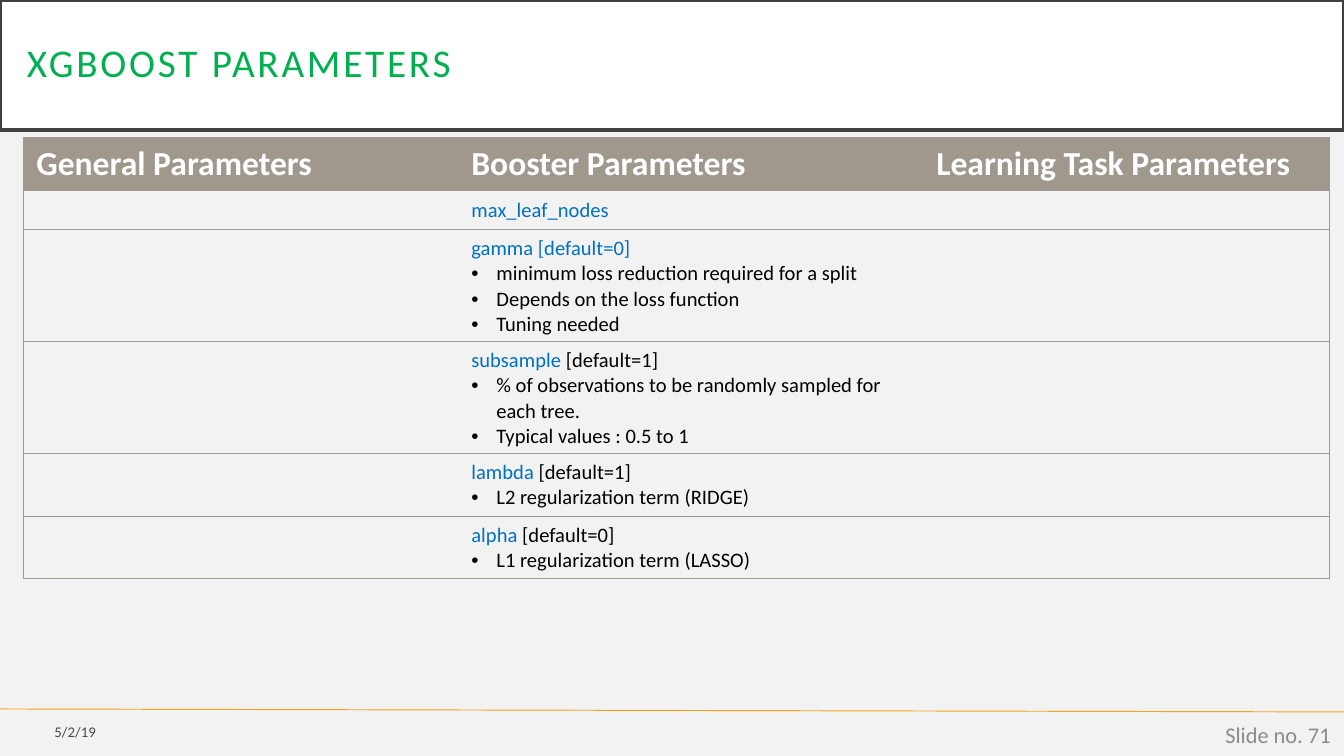
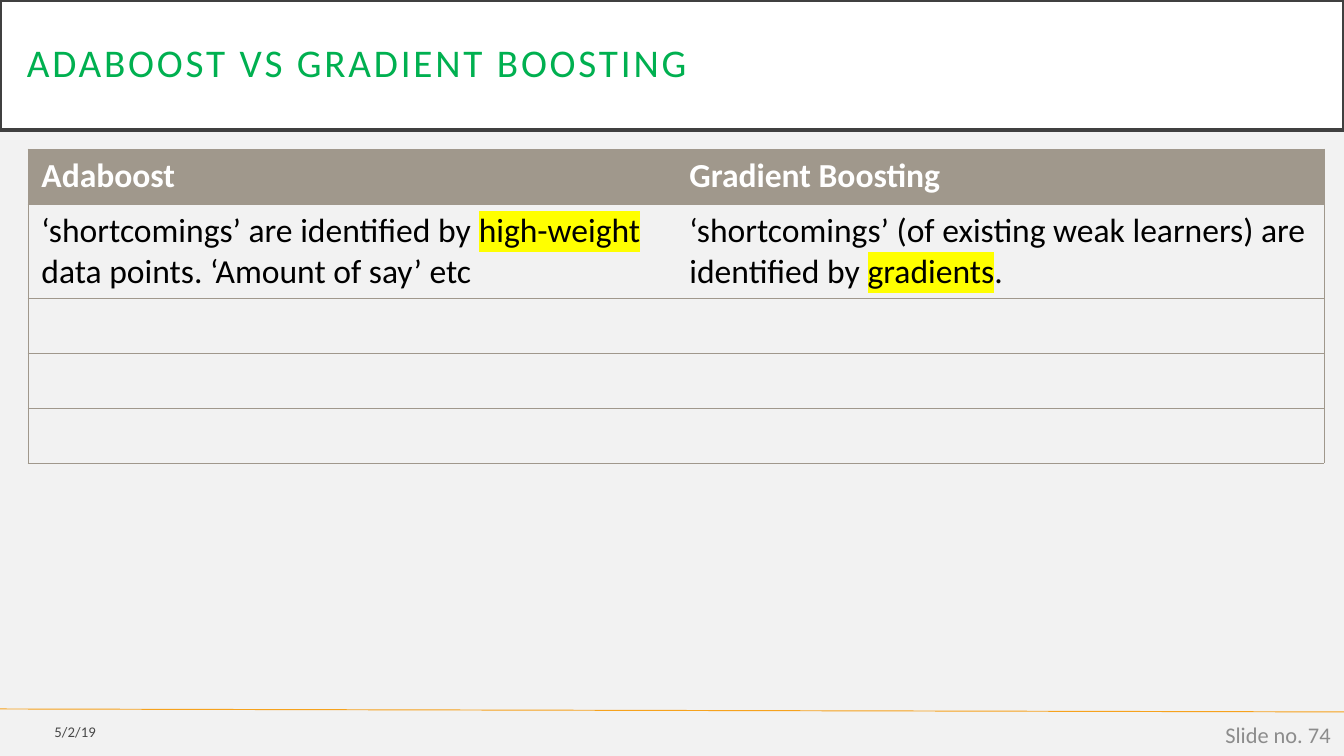
from dataclasses import dataclass

from lxml.etree import SubElement
from pptx import Presentation
from pptx.dml.color import RGBColor
from pptx.enum.shapes import MSO_CONNECTOR, MSO_SHAPE
from pptx.enum.text import MSO_ANCHOR, PP_ALIGN
from pptx.oxml.ns import qn
from pptx.util import Emu, Pt

COLORS = {
    "background": "F2F2F2",
    "band": "FFFFFF",
    "band_line": "404040",
    "title": "00B050",
    "rule": "F6A21D",
    "table": "A0988C",
    "heading": "FFFFFF",
    "body": "000000",
    "parameter": "0070C0",
    "highlight": "FFFF00",
    "slide_number": "8C8C8C",
}
FONT = "Calibri"
DATE = "5/2/19"
SLIDE_WIDTH, SLIDE_HEIGHT = 1344, 756
BULLET_INDENT = 25


@dataclass(frozen=True)
class Span:
    text: str
    color: str | None = None
    highlight: str | None = None


@dataclass(frozen=True)
class Line:
    spans: tuple[Span, ...] = ()
    bullet: bool = False


@dataclass(frozen=True)
class Box:
    left: int
    top: int
    width: int
    height: int


@dataclass(frozen=True)
class Grid:
    left: int
    top: int
    height: int
    columns: tuple[int, ...]
    row_heights: tuple[int, ...]
    headings: tuple[str, ...]
    body: tuple[tuple[tuple[Line, ...], ...], ...]
    body_size: int


@dataclass(frozen=True)
class Page:
    title: str
    number: int
    grid: Grid


def px(length: int) -> Emu:
    return Emu(round(length * 914400 / 134.4))


def rgb(name: str) -> RGBColor:
    return RGBColor.from_string(COLORS[name])


def plain(text: str) -> tuple[Line, ...]:
    return (Line((Span(text),)),)


def parameter(name: str, default: str = "", *notes: str) -> tuple[Line, ...]:
    spans = (Span(name, "parameter"),) + ((Span(default),) if default else ())
    return (Line(spans),) + tuple(Line((Span(note),), True) for note in notes)


def write(frame, lines: tuple[Line, ...], *, size: float, color: str,
          bold: bool = False, align=PP_ALIGN.LEFT, spacing: float | None = None,
          tracking: int = 0, alpha: int = 100) -> None:
    frame.word_wrap = True
    for index, line in enumerate(lines or (Line(),)):
        paragraph = frame.paragraphs[0] if index == 0 else frame.add_paragraph()
        paragraph.alignment = align
        if spacing:
            paragraph.line_spacing = spacing
        if line.bullet:
            properties = paragraph._p.get_or_add_pPr()
            properties.set("marL", str(px(BULLET_INDENT)))
            properties.set("indent", str(-px(BULLET_INDENT)))
            SubElement(properties, qn("a:buFont"), typeface="Arial")
            SubElement(properties, qn("a:buChar"), char="•")
        if not line.spans:
            SubElement(paragraph._p, qn("a:endParaRPr"), sz=str(round(size * 100)))
        for span in line.spans:
            run = paragraph.add_run()
            run.text = span.text
            run.font.name = FONT
            run.font.size = Pt(size)
            run.font.bold = bold
            run.font.color.rgb = rgb(span.color or color)
            properties = run._r.get_or_add_rPr()
            solid = properties.find(qn("a:solidFill"))
            if tracking:
                properties.set("spc", str(tracking))
            if alpha < 100:
                SubElement(solid[0], qn("a:alpha"), val=str(alpha * 1000))
            if span.highlight:
                highlight = SubElement(properties, qn("a:highlight"))
                SubElement(highlight, qn("a:srgbClr"), val=COLORS[span.highlight])
                solid.addnext(highlight)


def add_title(slide, title: str) -> None:
    band = slide.shapes.add_shape(MSO_SHAPE.RECTANGLE, 0, 0, px(SLIDE_WIDTH), px(130))
    band.shadow.inherit = False
    band.fill.solid()
    band.fill.fore_color.rgb = rgb("band")
    band.line.color.rgb = rgb("band_line")
    band.line.width = Pt(2.5)
    frame = band.text_frame
    frame.margin_left = frame.margin_right = px(27)
    frame.margin_top = frame.margin_bottom = px(27)
    frame.vertical_anchor = MSO_ANCHOR.MIDDLE
    write(frame, plain(title), size=21, color="title", spacing=0.9, tracking=150)


def add_footer_text(slide, box: Box, text: str, size: float, color: str,
                    alpha: int = 100) -> None:
    footer = slide.shapes.add_textbox(
        px(box.left), px(box.top), px(box.width), px(box.height))
    footer.text_frame.vertical_anchor = MSO_ANCHOR.MIDDLE
    write(footer.text_frame, plain(text), size=size, color=color,
          align=PP_ALIGN.RIGHT, alpha=alpha)


def add_rule(slide) -> None:
    rule = slide.shapes.add_connector(
        MSO_CONNECTOR.STRAIGHT, 0, px(709), px(SLIDE_WIDTH), px(712))
    rule.line.color.rgb = rgb("rule")
    rule.line.width = Pt(0.5)
    SubElement(rule._element.spPr, qn("a:effectLst"))


def set_borders(cell, first: bool, last: bool) -> None:
    properties = cell._tc.get_or_add_tcPr()
    edges = {"lnL": first, "lnR": last, "lnT": True, "lnB": True}
    for position, (edge, visible) in enumerate(edges.items()):
        border = SubElement(properties, qn(f"a:{edge}"), w=str(Pt(0.5)))
        if visible:
            solid = SubElement(border, qn("a:solidFill"))
            SubElement(solid, qn("a:srgbClr"), val=COLORS["table"])
        else:
            SubElement(border, qn("a:noFill"))
        properties.insert(position, border)


def add_grid(slide, grid: Grid) -> None:
    holder = slide.shapes.add_table(
        len(grid.row_heights), len(grid.columns), px(grid.left), px(grid.top),
        px(sum(grid.columns)), px(grid.height))
    table = holder.table
    table.first_row = table.horz_banding = False
    for column, width in zip(table.columns, grid.columns):
        column.width = px(width)
    for row, height in zip(table.rows, grid.row_heights):
        row.height = px(height)
    holder.height = px(grid.height)
    contents = (tuple(plain(heading) for heading in grid.headings),) + grid.body
    for row_index, row in enumerate(contents):
        for column_index, lines in enumerate(row):
            cell = table.cell(row_index, column_index)
            if row_index == 0:
                cell.fill.solid()
                cell.fill.fore_color.rgb = rgb("table")
                write(cell.text_frame, lines, size=18, color="heading", bold=True)
            else:
                cell.fill.background()
                write(cell.text_frame, lines, size=grid.body_size, color="body")
            set_borders(cell, column_index == 0, column_index == len(row) - 1)


def add_page(presentation, page: Page) -> None:
    slide = presentation.slides.add_slide(presentation.slide_layouts[6])
    slide.background.fill.solid()
    slide.background.fill.fore_color.rgb = rgb("background")
    add_rule(slide)
    add_title(slide, page.title)
    add_footer_text(slide, Box(0, 714, 109, 36), DATE, 7.9, "body", alpha=70)
    add_footer_text(slide, Box(1042, 715, 302, 40), f"Slide no. {page.number}",
                    12, "slide_number")
    add_grid(slide, page.grid)


BOOSTER_PARAMETERS = (
    parameter("max_leaf_nodes"),
    parameter("gamma [default=0]", "",
              "minimum loss reduction required for a split",
              "Depends on the loss function", "Tuning needed"),
    parameter("subsample", " [default=1]",
              "% of observations to be randomly sampled for each tree.",
              "Typical values : 0.5 to 1"),
    parameter("lambda", " [default=1]", "L2 regularization term (RIDGE)"),
    parameter("alpha", " [default=0]", "L1 regularization term (LASSO)"),
)
SHORTCOMINGS = (
    (Line((Span("‘shortcomings’ are identified by "),
           Span("high-weight", highlight="highlight"),
           Span(" data points. ‘Amount of say’ etc"))),),
    (Line((Span("‘shortcomings’ (of existing weak learners) are identified by "),
           Span("gradients", highlight="highlight"),
           Span("."))),),
)
PAGES = (
    Page("XGBOOST PARAMETERS", 71, Grid(
        23, 137, 431, (435, 465, 407), (42,) + (36,) * 5,
        ("General Parameters", "Booster Parameters", "Learning Task Parameters"),
        tuple(((), booster, ()) for booster in BOOSTER_PARAMETERS), 11)),
    Page("ADABOOST VS GRADIENT BOOSTING", 74, Grid(
        28, 149, 292, (648,) * 2, (55,) * 5,
        ("Adaboost", "Gradient Boosting"),
        (SHORTCOMINGS,) + (((), ()),) * 3, 18)),
)


def main() -> None:
    presentation = Presentation()
    presentation.slide_width = px(SLIDE_WIDTH)
    presentation.slide_height = px(SLIDE_HEIGHT)
    for page in PAGES:
        add_page(presentation, page)
    presentation.save("out.pptx")


if __name__ == "__main__":
    main()
